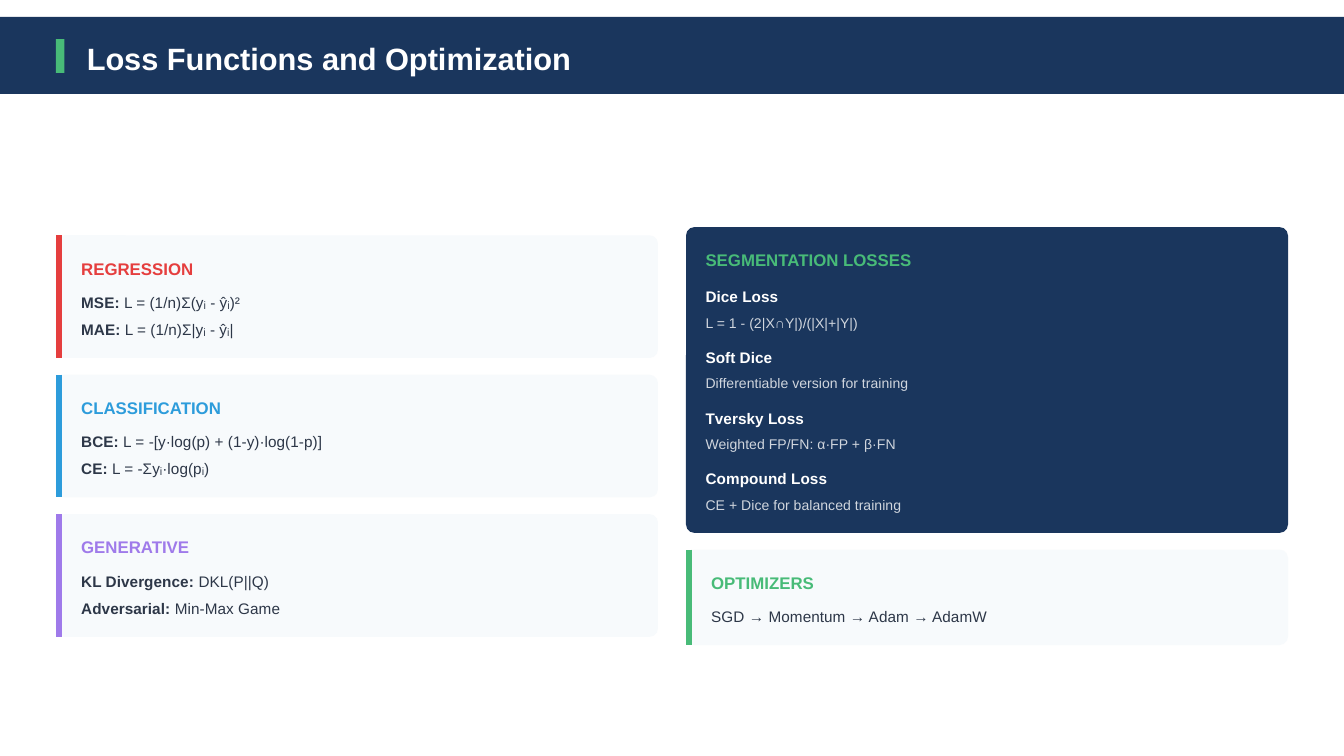
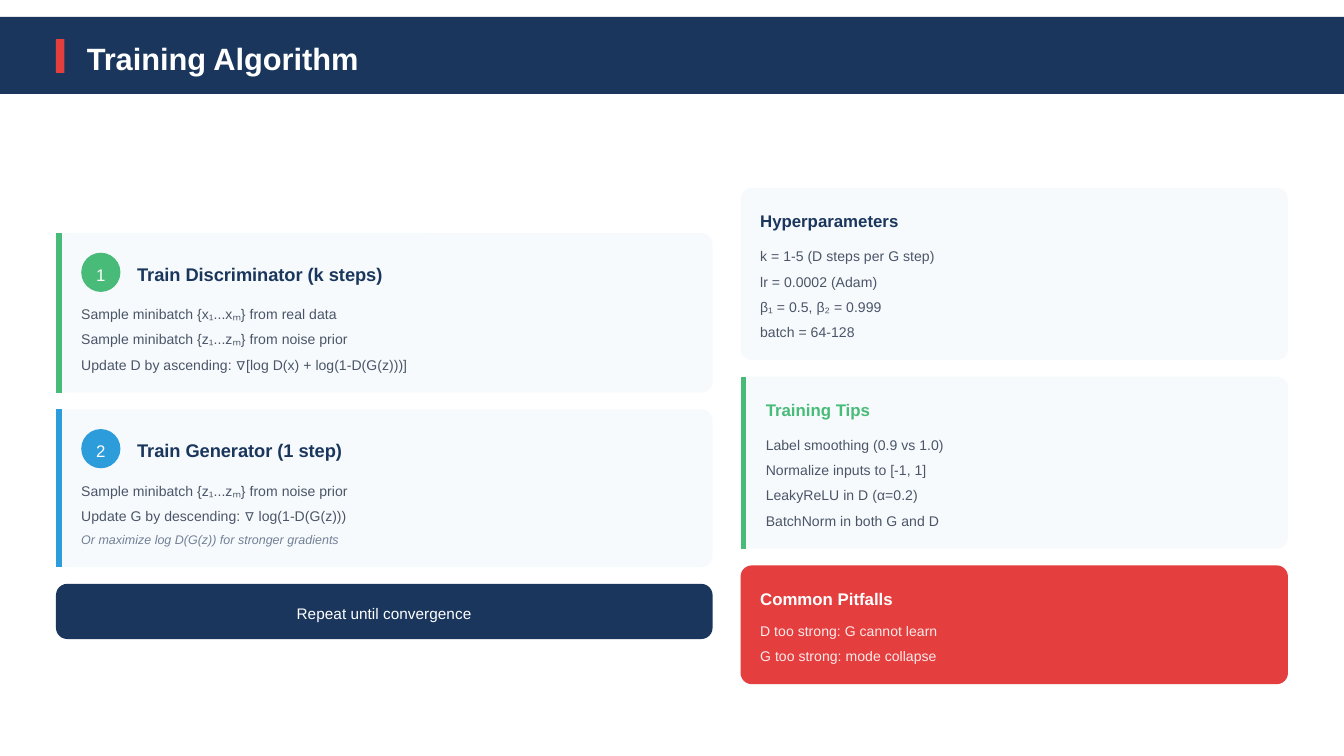
from lxml import etree
from pptx import Presentation, util as u
from pptx.dml.color import RGBColor
from pptx.enum import shapes, text
from pptx.oxml.ns import qn

PX = 9525  # EMU in one px, at 96 px to the inch
FONT = "Arial"
LEADING = 1.4

NAVY = RGBColor(0x1A, 0x36, 0x5D)
GREEN = RGBColor(0x48, 0xBB, 0x78)
RED = RGBColor(0xE5, 0x3E, 0x3E)
BLUE = RGBColor(0x2D, 0x9C, 0xDB)
PURPLE = RGBColor(0x9F, 0x7A, 0xEA)
PALE = RGBColor(0xF7, 0xFA, 0xFC)
INK = RGBColor(0x2D, 0x37, 0x48)
SLATE = RGBColor(0x4A, 0x55, 0x68)
GRAY = RGBColor(0x71, 0x80, 0x96)
WHITE = RGBColor(0xFF, 0xFF, 0xFF)

SLIDE_WIDTH, SLIDE_HEIGHT = 960, 540
BODY_TOP = 83
CARD_GAP = 12
BADGE = 28

# Text styles: size in px, colour, bold, italic, opacity, gap below in px
STYLES = {
    "title": (22, WHITE, True, False, 100, 0),
    "heading": (12, NAVY, True, False, 100, 8),
    "loose heading": (12, NAVY, True, False, 100, 10),
    "formula": (11, INK, False, False, 100, 4),
    "loss": (11, WHITE, True, False, 100, 4),
    "loss detail": (10, WHITE, False, False, 80, 10),
    "step": (13, NAVY, True, False, 100, 8),
    "badge": (12, WHITE, False, False, 100, 0),
    "line": (10, SLATE, False, False, 100, 4),
    "hint": (9, GRAY, False, True, 100, 0),
    "pitfall": (10, WHITE, False, False, 90, 4),
    "banner": (11, WHITE, False, False, 100, 0),
}

# Cards: fill, bar colour, heading colour, lines
loss_left = [
    (PALE, RED, RED, [
        ("heading", "REGRESSION"),
        ("formula", "MSE: L = (1/n)Σ(yᵢ - ŷᵢ)²"),
        ("formula", "MAE: L = (1/n)Σ|yᵢ - ŷᵢ|")]),
    (PALE, BLUE, BLUE, [
        ("heading", "CLASSIFICATION"),
        ("formula", "BCE: L = -[y·log(p) + (1-y)·log(1-p)]"),
        ("formula", "CE: L = -Σyᵢ·log(pᵢ)")]),
    (PALE, PURPLE, PURPLE, [
        ("heading", "GENERATIVE"),
        ("formula", "KL Divergence: DKL(P||Q)"),
        ("formula", "Adversarial: Min-Max Game")]),
]
loss_right = [
    (NAVY, None, GREEN, [
        ("loose heading", "SEGMENTATION LOSSES"),
        ("loss", "Dice Loss"),
        ("loss detail", "L = 1 - (2|X∩Y|)/(|X|+|Y|)"),
        ("loss", "Soft Dice"),
        ("loss detail", "Differentiable version for training"),
        ("loss", "Tversky Loss"),
        ("loss detail", "Weighted FP/FN: α·FP + β·FN"),
        ("loss", "Compound Loss"),
        ("loss detail", "CE + Dice for balanced training")]),
    (PALE, GREEN, GREEN, [
        ("heading", "OPTIMIZERS"),
        ("formula", "SGD → Momentum → Adam → AdamW")]),
]
training_left = [
    (PALE, GREEN, NAVY, [
        ("step", "Train Discriminator (k steps)"),
        ("line", "Sample minibatch {x₁...xₘ} from real data"),
        ("line", "Sample minibatch {z₁...zₘ} from noise prior"),
        ("line", "Update D by ascending: ∇[log D(x) + log(1-D(G(z)))]")]),
    (PALE, BLUE, NAVY, [
        ("step", "Train Generator (1 step)"),
        ("line", "Sample minibatch {z₁...zₘ} from noise prior"),
        ("line", "Update G by descending: ∇ log(1-D(G(z)))"),
        ("hint", "Or maximize log D(G(z)) for stronger gradients")]),
    (NAVY, None, WHITE, [("banner", "Repeat until convergence")]),
]
training_right = [
    (PALE, None, NAVY, [
        ("loose heading", "Hyperparameters"),
        ("line", "k = 1-5 (D steps per G step)"),
        ("line", "lr = 0.0002 (Adam)"),
        ("line", "β₁ = 0.5, β₂ = 0.999"),
        ("line", "batch = 64-128")]),
    (PALE, GREEN, GREEN, [
        ("loose heading", "Training Tips"),
        ("line", "Label smoothing (0.9 vs 1.0)"),
        ("line", "Normalize inputs to [-1, 1]"),
        ("line", "LeakyReLU in D (α=0.2)"),
        ("line", "BatchNorm in both G and D")]),
    (RED, None, WHITE, [
        ("heading", "Common Pitfalls"),
        ("pitfall", "D too strong: G cannot learn"),
        ("pitfall", "G too strong: mode collapse")]),
]

# Slides: title, title width, accent, corner radius, columns (left, width, cards)
SLIDES = [
    ("Loss Functions and Optimization", 354, GREEN, 6,
     [(40, 430, loss_left), (490, 430, loss_right)]),
    ("Training Algorithm", 199, RED, 8,
     [(40, 469, training_left), (529, 391, training_right)]),
]


def add_box(slide, left, top, width, height, fill, radius=0):
    kind = shapes.MSO_SHAPE.ROUNDED_RECTANGLE if radius else shapes.MSO_SHAPE.RECTANGLE
    box = slide.shapes.add_shape(
        kind, *(int(value * PX) for value in (left, top, width, height)))
    if radius:
        box.adjustments[0] = radius / min(width, height)
    box.shadow.inherit = False
    box.fill.solid()
    box.fill.fore_color.rgb = fill
    box.line.fill.background()


def put_text(shape, left, top, width, words, style, color=None):
    size, style_color, bold, italic, opacity, _ = STYLES[style]
    shape.left, shape.top = int(left * PX), int(top * PX)
    shape.width, shape.height = int(width * PX), int(size * LEADING * PX)
    frame = shape.text_frame
    frame.text = words
    frame.word_wrap = True
    frame.auto_size = text.MSO_AUTO_SIZE.NONE
    frame.vertical_anchor = text.MSO_ANCHOR.TOP
    frame.margin_left = frame.margin_right = frame.margin_top = frame.margin_bottom = 0
    paragraph = frame.paragraphs[0]
    centered = style in ("banner", "badge")
    paragraph.alignment = text.PP_ALIGN.CENTER if centered else text.PP_ALIGN.LEFT
    paragraph.line_spacing = u.Pt(size * 0.75 * LEADING)
    # A formula has its label, up to the colon, in bold
    if style == "formula" and ":" in words:
        label, colon, rest = words.partition(":")
        paragraph.runs[0].text = label + colon
        paragraph.add_run().text = rest
    for index, run in enumerate(paragraph.runs):
        run.font.name = FONT
        run.font.size = u.Pt(size * 0.75)
        run.font.bold = bold or (index == 0 and len(paragraph.runs) > 1)
        run.font.italic = italic
        run.font.color.rgb = color or style_color
        if opacity < 100:
            rgb = run._r.rPr.find(".//" + qn("a:srgbClr"))
            etree.SubElement(rgb, qn("a:alpha"), val=str(opacity * 1000))


presentation = Presentation()
presentation.slide_width = SLIDE_WIDTH * PX
presentation.slide_height = SLIDE_HEIGHT * PX

for title, title_width, accent, radius, columns in SLIDES:
    slide = presentation.slides.add_slide(presentation.slide_layouts[5])

    # Title band, with the title brought in front of it
    add_box(slide, 0, 12, SLIDE_WIDTH, 55, NAVY)
    add_box(slide, 40, 28, 6, 24, accent)
    title_shape = slide.shapes.title
    slide.shapes._spTree.append(title_shape._element)
    put_text(title_shape, 62, 24, title_width, title, "title")

    for left, width, cards in columns:
        # Card heights follow from their lines; each column is centred in the body
        heights = []
        for _, _, _, lines in cards:
            pad = 12 if lines[0][0] == "banner" else 14
            height = 2 * pad - STYLES[lines[-1][0]][5]
            for style, _ in lines:
                line_height = BADGE if style == "step" else STYLES[style][0] * LEADING
                height += line_height + STYLES[style][5]
            heights.append(height)
        column_height = sum(heights) + CARD_GAP * (len(cards) - 1)
        top = (BODY_TOP + SLIDE_HEIGHT - column_height) / 2

        for number, (card, height) in enumerate(zip(cards, heights), 1):
            fill, bar, heading_color, lines = card
            add_box(slide, left, top, width, height, fill, radius)

            # Coloured bar on the left edge
            if bar:
                x = (left + 2) * PX
                connector = slide.shapes.add_connector(
                    shapes.MSO_CONNECTOR.STRAIGHT,
                    x, int(top * PX), x, int((top + height) * PX))
                connector.line.color.rgb = bar
                connector.line.width = u.Pt(3)
                etree.SubElement(connector._element.spPr, qn("a:effectLst"))

            # Lines of the card, one below the other
            is_banner = lines[0][0] == "banner"
            inset = 8 if is_banner else 18 if bar else 14
            text_width = width - inset - (8 if is_banner else 6)
            y = top + (12 if is_banner else 14)
            for style, words in lines:
                size, gap = STYLES[style][0], STYLES[style][5]
                if style == "step":
                    add_box(slide, left + inset, y, BADGE, BADGE, bar, BADGE / 2)
                    put_text(slide.shapes.add_textbox(0, 0, 0, 0),
                             left + 28, y + 6, 8, str(number), "badge")
                    put_text(slide.shapes.add_textbox(0, 0, 0, 0),
                             left + 58, y + 5, 184, words, style)
                    y += BADGE + gap
                else:
                    color = heading_color if "heading" in style else None
                    put_text(slide.shapes.add_textbox(0, 0, 0, 0),
                             left + inset, y, text_width, words, style, color)
                    y += size * LEADING + gap
            top += height + CARD_GAP

presentation.save("out.pptx")
